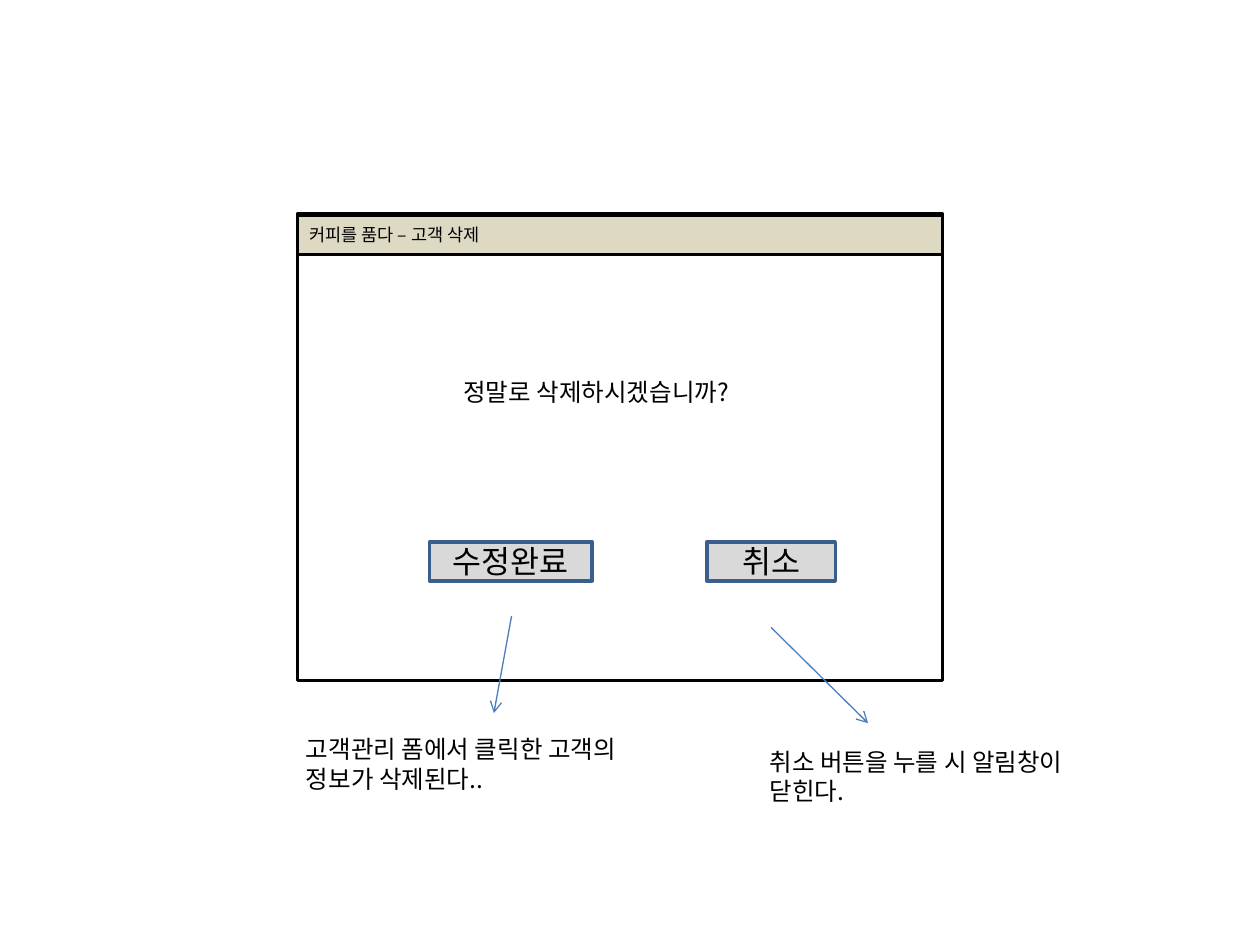
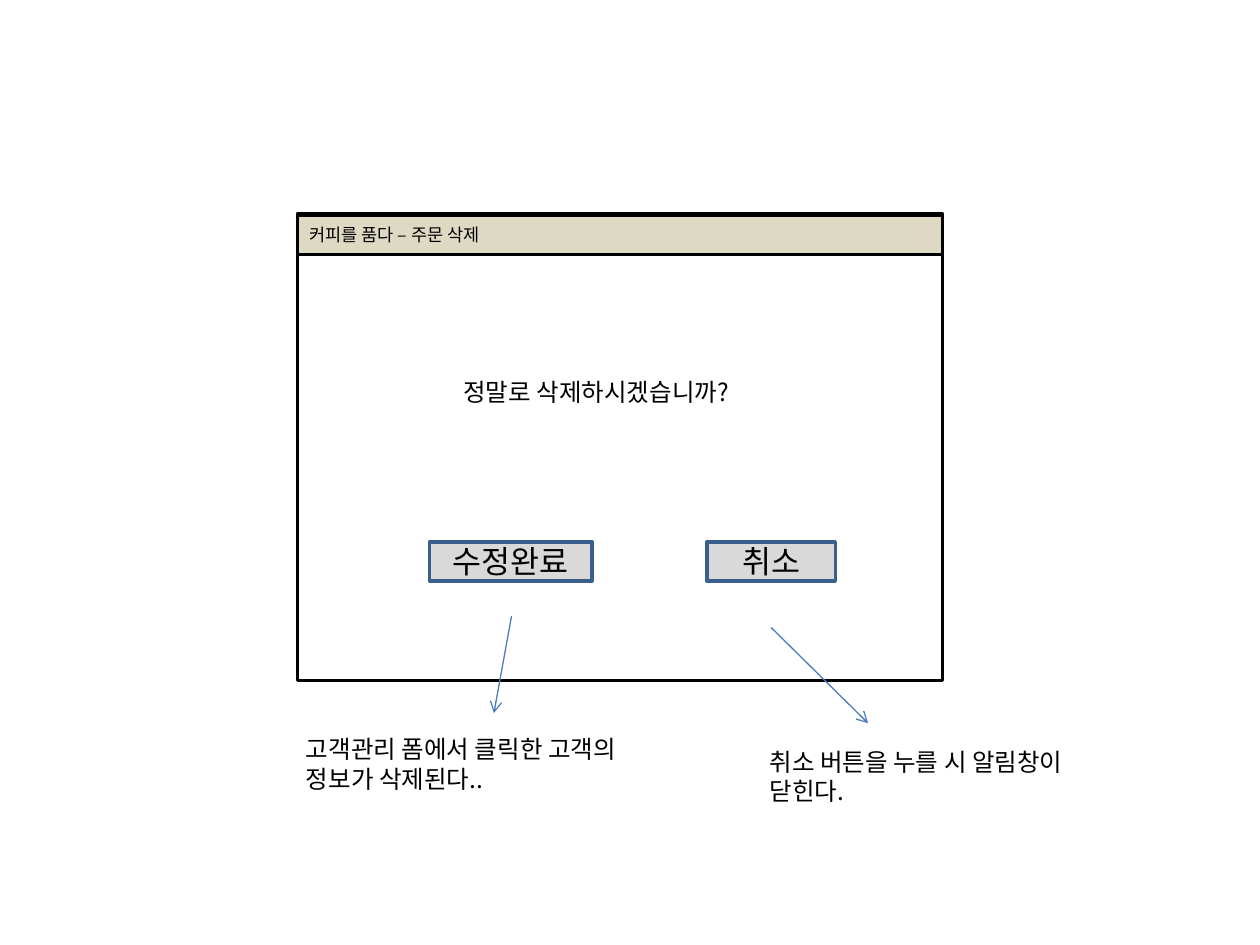
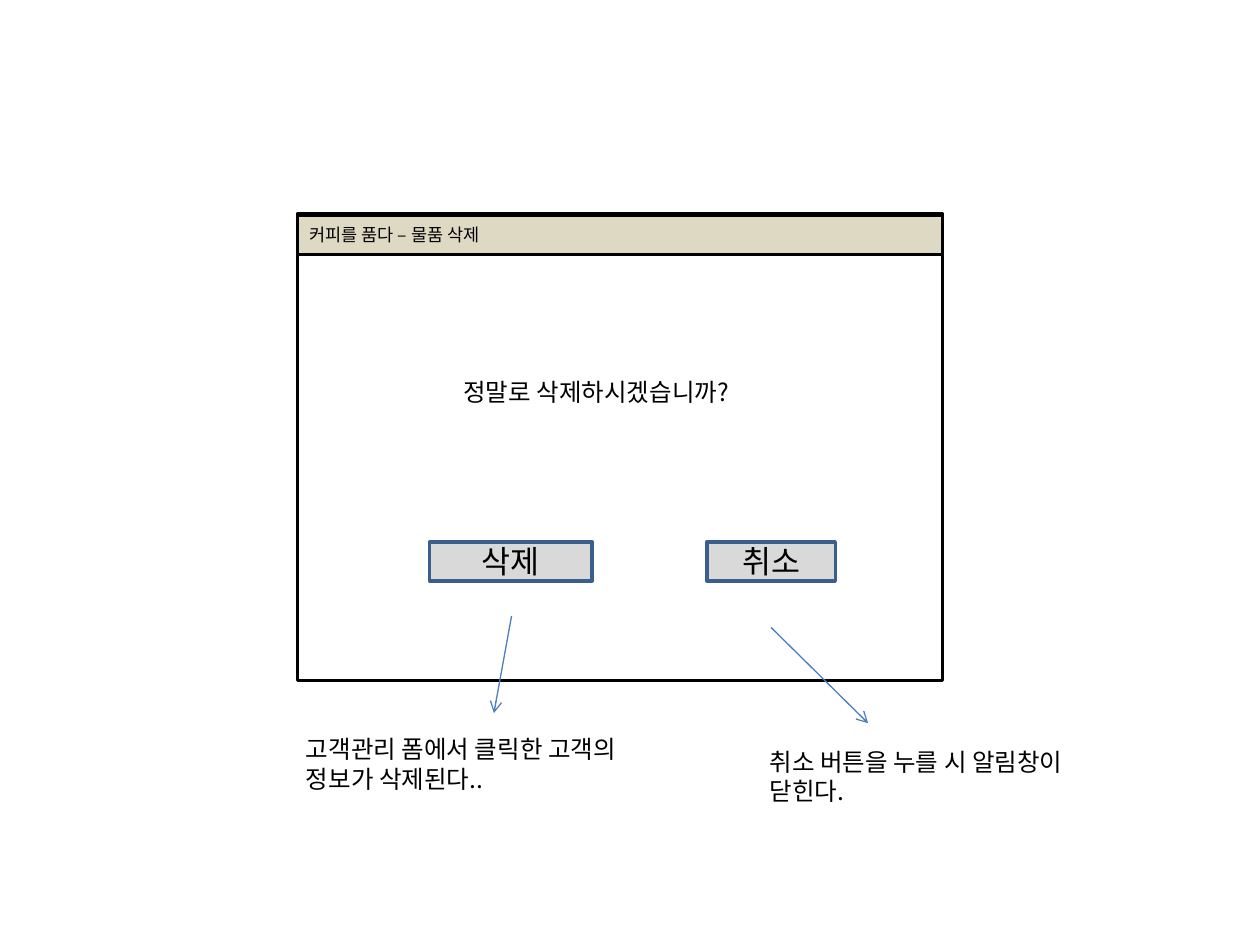
from dataclasses import dataclass
from typing import Optional

from lxml import etree
from pptx import Presentation
from pptx.dml.color import RGBColor
from pptx.enum import shapes, text
from pptx.oxml import ns
from pptx.util import Inches, Pt

# Shared style
FONT = "Noto Sans CJK KR"
BLACK = RGBColor(0x00, 0x00, 0x00)
WHITE = RGBColor(0xFF, 0xFF, 0xFF)
CAPTION_FILL = RGBColor(0xDD, 0xD9, 0xC3)
BUTTON_FILL = RGBColor(0xD9, 0xD9, 0xD9)
BUTTON_LINE = RGBColor(0x3A, 0x5F, 0x8C)
ARROW_LINE = RGBColor(0x4B, 0x7E, 0xBC)

# Dialog geometry, in inches
DIALOG_LEFT, DIALOG_WIDTH = 2.36, 5.12
BAR_HEIGHT = 0.31
BUTTON_TOP = 4.3
TEXT_WIDTH = 2.94


@dataclass(frozen=True)
class Panel:
    left: float
    top: float
    width: float
    height: float
    fill: RGBColor
    line: RGBColor = BLACK
    label: str = ""
    size: int = 18
    align: Optional[text.PP_ALIGN] = None


@dataclass(frozen=True)
class Note:
    left: float
    top: float
    height: float
    words: str


@dataclass(frozen=True)
class Arrow:
    start: tuple[float, float]
    end: tuple[float, float]


@dataclass(frozen=True)
class Dialog:
    subject: str
    confirm: str


DIALOGS = [
    Dialog("고객", "수정완료"),
    Dialog("주문", "수정완료"),
    Dialog("물품", "삭제"),
]
NOTES = [
    Note(3.58, 2.94, 0.34, "정말로 삭제하시겠습니까?"),
    Note(6.01, 5.88, 0.57, "취소 버튼을 누를 시 알림창이 닫힌다."),
    Note(2.33, 5.78, 0.57, "고객관리 폼에서 클릭한 고객의 정보가 삭제된다.."),
]
ARROWS = [
    Arrow((6.12, 4.98), (6.89, 5.74)),
    Arrow((4.06, 4.89), (3.92, 5.66)),
]


def write(frame, words: str, size: int, align=None) -> None:
    frame.text = words
    frame.word_wrap = True
    paragraph = frame.paragraphs[0]
    paragraph.alignment = align or text.PP_ALIGN.LEFT
    for span in paragraph.runs:
        span.font.name = FONT
        span.font.size = Pt(size)
        span.font.color.rgb = BLACK
        latin = span.font._element.find(ns.qn("a:latin"))
        east_asian = etree.Element(ns.qn("a:ea"), typeface=FONT)
        latin.addnext(east_asian)


def draw_panel(page, panel: Panel) -> None:
    box = page.shapes.add_shape(
        shapes.MSO_SHAPE.RECTANGLE,
        Inches(panel.left), Inches(panel.top),
        Inches(panel.width), Inches(panel.height),
    )
    box.shadow.inherit = False
    box.fill.solid()
    box.fill.fore_color.rgb = panel.fill
    box.line.color.rgb = panel.line
    box.line.width = Pt(2)
    if panel.label:
        box.text_frame.vertical_anchor = text.MSO_ANCHOR.MIDDLE
        write(box.text_frame, panel.label, panel.size, panel.align)


def draw_note(page, note: Note) -> None:
    box = page.shapes.add_textbox(
        Inches(note.left), Inches(note.top), Inches(TEXT_WIDTH), Inches(note.height)
    )
    write(box.text_frame, note.words, 14)
    box.text_frame.auto_size = text.MSO_AUTO_SIZE.SHAPE_TO_FIT_TEXT


def draw_arrow(page, arrow: Arrow) -> None:
    connector = page.shapes.add_connector(
        shapes.MSO_CONNECTOR.STRAIGHT,
        *(Inches(value) for value in arrow.start + arrow.end),
    )
    connector.line.color.rgb = ARROW_LINE
    connector.line.width = Pt(0.75)
    etree.SubElement(connector.line._get_or_add_ln(), ns.qn("a:tailEnd"), type="arrow")
    etree.SubElement(connector._element.spPr, ns.qn("a:effectLst"))


def draw_dialog(page, dialog: Dialog) -> None:
    center = text.PP_ALIGN.CENTER
    panels = [
        # Window and its caption bar
        Panel(DIALOG_LEFT, 1.7, DIALOG_WIDTH, 3.7, WHITE),
        Panel(DIALOG_LEFT, 1.71, DIALOG_WIDTH, BAR_HEIGHT, CAPTION_FILL,
              label=f"커피를 품다 – {dialog.subject} 삭제", size=10),
        # Buttons
        Panel(3.41, BUTTON_TOP, 1.29, BAR_HEIGHT, BUTTON_FILL, BUTTON_LINE,
              dialog.confirm, align=center),
        Panel(5.61, BUTTON_TOP, 1.02, BAR_HEIGHT, BUTTON_FILL, BUTTON_LINE,
              "취소", align=center),
    ]
    for panel in panels:
        draw_panel(page, panel)
    # Question and explanations
    for note in NOTES:
        draw_note(page, note)
    for arrow in ARROWS:
        draw_arrow(page, arrow)


def main() -> None:
    deck = Presentation()
    deck.slide_width, deck.slide_height = Inches(10), Inches(7.5)
    blank = deck.slide_layouts.get_by_name("Blank")
    for dialog in DIALOGS:
        draw_dialog(deck.slides.add_slide(blank), dialog)
    deck.save("out.pptx")


if __name__ == "__main__":
    main()
